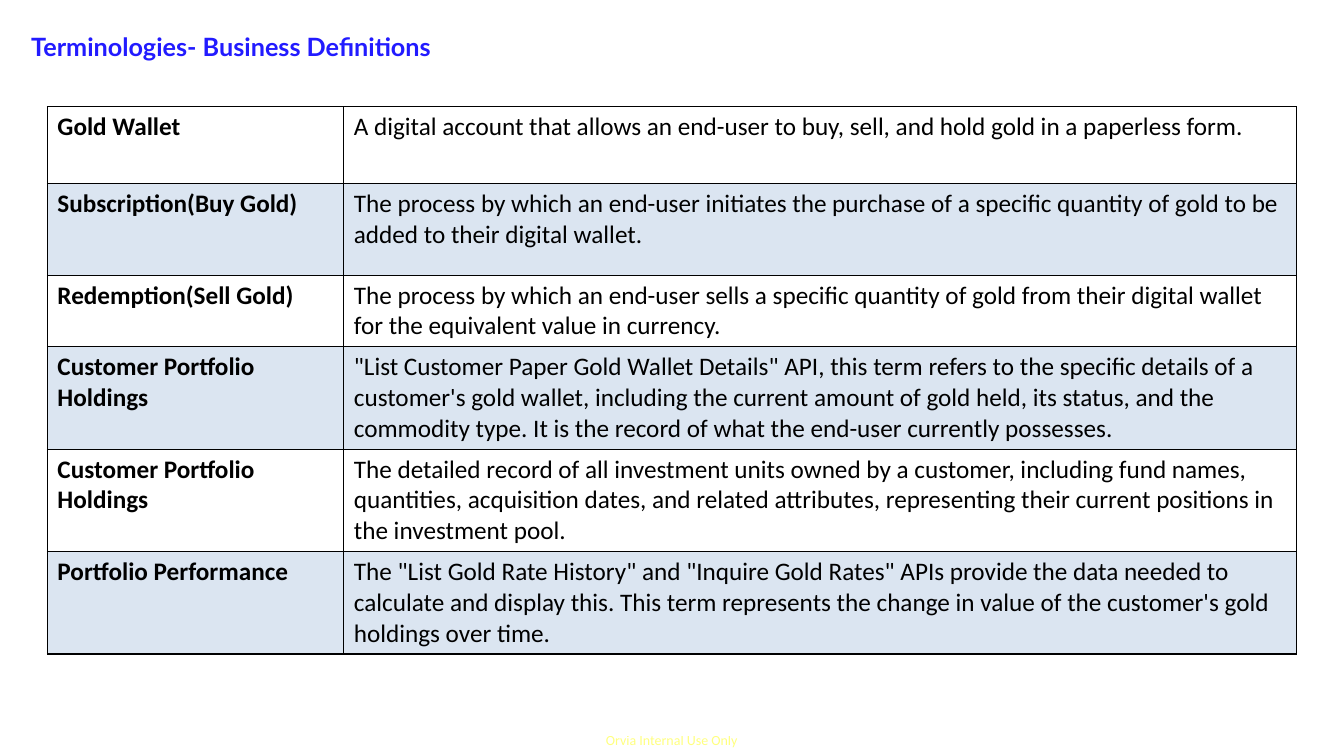
from pptx import Presentation
from pptx.dml.color import RGBColor
from pptx.enum.text import MSO_ANCHOR as Anchor, MSO_AUTO_SIZE as AutoSize, PP_ALIGN as Align
from pptx.oxml import parse_xml
from pptx.oxml.ns import nsdecls, qn
from pptx.util import Inches, Pt

BLACK = "000000"
BAND = "4F81BD"
TITLE_BLUE = "221BFF"
FOOTER_YELLOW = "FFFF00"

COLUMN_WIDTHS = [2.94, 9.45]
ROW_HEIGHTS = [0.76, 0.91, 0.7, 1, 1, 1]
DEFINITIONS = [
    ("Gold Wallet",
     "A digital account that allows an end-user to buy, sell, and hold gold in a paperless form."),
    ("Subscription(Buy Gold)",
     "The process by which an end-user initiates the purchase of a specific quantity of gold "
     "to be added to their digital wallet."),
    ("Redemption(Sell Gold)",
     "The process by which an end-user sells a specific quantity of gold from their digital "
     "wallet for the equivalent value in currency."),
    ("Customer Portfolio Holdings",
     '"List Customer Paper Gold Wallet Details" API, this term refers to the specific details '
     "of a customer's gold wallet, including the current amount of gold held, its status, and "
     "the commodity type. It is the record of what the end-user currently possesses."),
    ("Customer Portfolio Holdings",
     "The detailed record of all investment units owned by a customer, including fund names, "
     "quantities, acquisition dates, and related attributes, representing their current "
     "positions in the investment pool."),
    ("Portfolio Performance",
     'The "List Gold Rate History" and "Inquire Gold Rates" APIs provide the data needed to '
     "calculate and display this. This term represents the change in value of the customer's "
     "gold holdings over time."),
]


def color(hex_code):
    return RGBColor.from_string(hex_code)


def set_opacity(properties, percent):
    properties.find(qn("a:solidFill")).find(qn("a:srgbClr")).append(
        parse_xml(f'<a:alpha {nsdecls("a")} val="{percent * 1000}"/>'))


def add_run(paragraph, text, font_name, size, hex_code, bold=False):
    run = paragraph.add_run()
    run.text = text
    run.font.name = font_name
    run.font.size = Pt(size)
    run.font.bold = bold
    run.font.color.rgb = color(hex_code)
    return run


def fit_frame(frame, top_inset=0.0):
    frame.margin_left = frame.margin_right = frame.margin_bottom = 0
    frame.margin_top = Inches(top_inset)
    frame.vertical_anchor = Anchor.TOP
    frame.auto_size = AutoSize.NONE
    frame.word_wrap = True


def add_title(slide, text):
    title = slide.shapes.title
    title.left, title.top = Inches(0.31), Inches(0.29)
    title.width, title.height = Inches(10.96), Inches(0.33)
    fit_frame(title.text_frame, 0.02)
    heading = title.text_frame.paragraphs[0]
    heading.alignment = Align.LEFT
    add_run(heading, text, "Lato", 18, TITLE_BLUE, bold=True)


def add_footer(slide, text):
    footer = slide.shapes.add_textbox(Inches(6.01), Inches(7.26), Inches(1.34), Inches(0.17))
    fit_frame(footer.text_frame)
    notice = add_run(footer.text_frame.paragraphs[0], text, "Calibri", 10, FOOTER_YELLOW)
    set_opacity(notice.font._element, 50)


def add_borders(cell):
    properties = cell._tc.get_or_add_tcPr()
    for side in ("lnL", "lnR", "lnT", "lnB"):
        properties.append(parse_xml(
            f'<a:{side} {nsdecls("a")} w="{Pt(1)}"><a:solidFill>'
            f'<a:srgbClr val="{BLACK}"/></a:solidFill></a:{side}>'))


def fill_cell(cell, text, bold, banded):
    add_borders(cell)
    if banded:
        cell.fill.solid()
        cell.fill.fore_color.rgb = color(BAND)
        set_opacity(cell._tc.tcPr, 20)
    else:
        cell.fill.background()
    add_run(cell.text_frame.paragraphs[0], text, "Calibri", 18, BLACK, bold)


def add_definitions(slide):
    frame = slide.shapes.add_table(
        len(DEFINITIONS), len(COLUMN_WIDTHS), Inches(0.47), Inches(1.06),
        Inches(sum(COLUMN_WIDTHS)), Inches(sum(ROW_HEIGHTS)))
    table = frame.table
    table.first_row = table.horz_banding = False
    for column, width in zip(table.columns, COLUMN_WIDTHS):
        column.width = Inches(width)
    for index, (row, height, entry) in enumerate(zip(table.rows, ROW_HEIGHTS, DEFINITIONS)):
        row.height = Inches(height)
        for position, (cell, text) in enumerate(zip(row.cells, entry)):
            fill_cell(cell, text, bold=position == 0, banded=index % 2 == 1)


def main():
    deck = Presentation()
    deck.slide_width, deck.slide_height = Inches(13.33), Inches(7.5)
    slide = deck.slides.add_slide(deck.slide_layouts[5])
    add_footer(slide, "Orvia Internal Use Only")
    add_title(slide, "Terminologies- Business Definitions")
    add_definitions(slide)
    deck.save("out.pptx")


if __name__ == "__main__":
    main()
